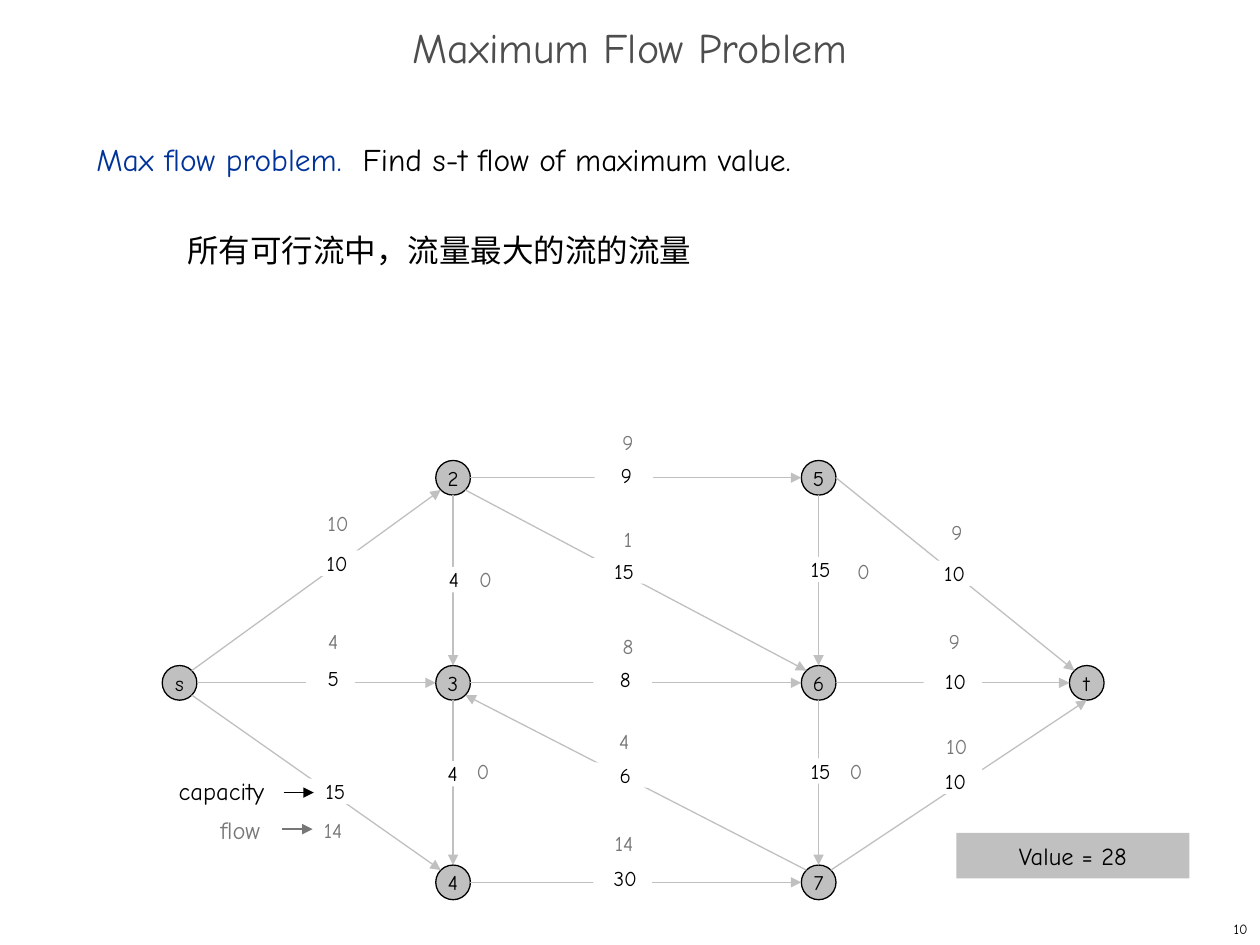
from math import sqrt

from lxml import etree
from pptx import Presentation
from pptx.dml.color import RGBColor
from pptx.enum.shapes import MSO_CONNECTOR as CONN, MSO_SHAPE as SHAPE
from pptx.enum.text import MSO_ANCHOR as ANCHOR, PP_ALIGN as ALIGN
from pptx.oxml.ns import qn
from pptx.util import Pt

FONT = "Comic Neue"
BLACK = RGBColor(0x00, 0x00, 0x00)
WHITE = RGBColor(0xFF, 0xFF, 0xFF)
SILVER = RGBColor(0xC0, 0xC0, 0xC0)
GRAY = RGBColor(0x77, 0x77, 0x77)
DARK = RGBColor(0x4D, 0x4D, 0x4D)
BLUE = RGBColor(0x00, 0x33, 0x99)

# Content: title and body
TITLE = "Maximum Flow Problem"
BODY = [("Max flow problem.  ", BLUE), ("Find s-t flow of maximum value.", BLACK)]
NOTE = "所有可行流中，流量最大的流的流量"

# Content: flow network, node -> (column, row)
COLS = [102.6, 258.9, 467.8, 621]
ROWS = [273, 390.2, 504.2]
NODE_D = 19.8
NODES = {"s": (0, 1), "2": (1, 0), "3": (1, 1), "4": (1, 2),
         "5": (2, 0), "6": (2, 1), "7": (2, 2), "t": (3, 1)}

# from, side, to, side, capacity, its left/top/width, indent, flow, its left/top
EDGES = [
    ("s", "NE", "2", "SW", 10, (171.4, 314.6, 33.5), 9, 10, (180, 291.6)),
    ("s", "E", "3", "W", 5, (175, 380.2, 28), 3, 4, (177.1, 359.3)),
    ("s", "SE", "4", "NW", 15, (173.5, 445, 33.5), 3, 14, (177.1, 467.3)),
    ("2", "E", "5", "W", 9, (339.8, 264.2, 33.5), 3, 9, (345.6, 245.5)),
    ("2", "SE", "6", "NW", 15, (338.4, 319, 33.5), 3, 1, (345.6, 301)),
    ("2", "S", "3", "N", 4, (241.2, 324, 33.5), 3, 0, (264.2, 324)),
    ("3", "S", "4", "N", 4, (240.5, 434.9, 33.5), 3, 0, (262.8, 433.4)),
    ("3", "E", "6", "W", 8, (339.1, 380.9, 33.5), 3, 8, (345.6, 362.2)),
    ("7", "NW", "3", "SE", 6, (339.1, 435.6, 33.5), 3, 4, (343.4, 416.2)),
    ("4", "E", "7", "W", 30, (339.1, 494.6, 33.5), 3, 14, (343.4, 474.5)),
    ("5", "S", "6", "N", 15, (450.7, 318.2, 33.5), 3, 0, (480.2, 319)),
    ("6", "S", "7", "N", 15, (450.7, 433.4, 33.5), 3, 0, (475.9, 433.4)),
    ("5", "E", "t", "NW", 10, (524.2, 320.4, 33.5), 9, 9, (533.5, 296.6)),
    ("6", "E", "t", "W", 10, (527.8, 382.3, 33.5), 3, 9, (532.1, 359.3)),
    ("7", "NE", "t", "S", 10, (527.8, 439.2, 33.5), 3, 10, (533.5, 419)),
]

# Legend: text, colour, box, arrow from, arrow to
LEGEND = [
    ("capacity", BLACK, (95, 440, 63.4, 23.8), (162, 452.9), (179.3, 452.9)),
    ("flow", GRAY, (118.8, 462.2, 37.4, 23.8), (161.3, 473.8), (178.6, 473.8)),
]

prs = Presentation()
prs.slide_width, prs.slide_height = Pt(720), Pt(540)
shapes = prs.slides.add_slide(prs.slide_layouts[6]).shapes


def add_run(p, text, size, color):
    r = p.add_run()
    r.text = text
    r.font.name, r.font.size = FONT, Pt(size)
    r.font.color.rgb = color


def write(sp, text, size, color, align=ALIGN.CENTER, anchor=ANCHOR.TOP,
          insets=(0, 0, 0, 0), wrap=True):
    tf = sp.text_frame
    tf.word_wrap, tf.vertical_anchor = wrap, anchor
    (tf.margin_left, tf.margin_top,
     tf.margin_right, tf.margin_bottom) = map(Pt, insets)
    p = tf.paragraphs[0]
    p.alignment = align
    add_run(p, text, size, color)
    return p


def add_box(box):
    return shapes.add_textbox(*map(Pt, box))


def add_filled(kind, box, fill, line=None):
    sp = shapes.add_shape(kind, *map(Pt, box))
    sp.shadow.inherit = False
    sp.fill.solid()
    sp.fill.fore_color.rgb = fill
    if line is None:
        sp.line.fill.background()
    else:
        sp.line.color.rgb, sp.line.width = line, Pt(0.75)
    return sp


def add_arrow(start, end, color):
    cx = shapes.add_connector(CONN.STRAIGHT, *map(Pt, start + end))
    cx.line.color.rgb, cx.line.width = color, Pt(0.75)
    etree.SubElement(cx.line._get_or_add_ln(), qn("a:tailEnd"), type="triangle")
    etree.SubElement(cx._element.spPr, qn("a:effectLst"))


def center(node):
    col, row = NODES[node]
    return COLS[col], ROWS[row]


def rim(node, side):
    """Point on the node's circle in a compass direction."""
    dx = ("E" in side) - ("W" in side)
    dy = ("S" in side) - ("N" in side)
    k = NODE_D / 2 / sqrt(dx * dx + dy * dy)
    x, y = center(node)
    return x + dx * k, y + dy * k


INSETS = (7.2, 3.6, 7.2, 3.6)

# Title, body and slide number
write(add_box((0, 12, 720, 36)), TITLE, 24, DARK, anchor=ANCHOR.MIDDLE,
      insets=INSETS).line_spacing = 0.7

body = add_box((48, 72, 618, 426))
p = write(body, *BODY[0][:1], 18, BODY[0][1], ALIGN.LEFT, insets=INSETS)
p.line_spacing = Pt(26)
add_run(p, BODY[1][0], 18, BODY[1][1])
p = body.text_frame.add_paragraph()
p.line_spacing = p.space_before = Pt(26)
p._p.get_or_add_pPr().set("marL", str(Pt(52)))
add_run(p, NOTE, 18, BLACK)

write(add_box((570.2, 522, 149.8, 18)), "10", 8, BLACK, ALIGN.RIGHT,
      ANCHOR.MIDDLE, INSETS)

# Network: nodes, then edges, then labels on top
for name in NODES:
    x, y = center(name)
    sp = add_filled(SHAPE.OVAL, (x - NODE_D / 2, y - NODE_D / 2, NODE_D, NODE_D),
                    SILVER, BLACK)
    write(sp, name, 12, BLACK, anchor=ANCHOR.MIDDLE, insets=INSETS, wrap=False)

for a, a_side, b, b_side, *_ in EDGES:
    add_arrow(rim(a, a_side), rim(b, b_side), SILVER)

for *_, cap, cap_box, indent, flow, flow_at in EDGES:
    sp = add_filled(SHAPE.RECTANGLE, cap_box + (14.5,), WHITE)
    write(sp, str(cap), 12, BLACK, insets=(indent, 0, 0, 0))
    write(add_box(flow_at + (26.6, 13.7)), str(flow), 12, GRAY)

# Legend and flow value
for text, color, box, start, end in LEGEND:
    write(add_box(box), text, 14, color, ALIGN.LEFT, insets=INSETS, wrap=False)
    add_arrow(start, end, color)

sp = add_filled(SHAPE.RECTANGLE, (546.5, 476, 133.2, 26), SILVER)
write(sp, "Value = 28", 14, BLACK, anchor=ANCHOR.MIDDLE, insets=(7.2,) * 4)

prs.save("out.pptx")
